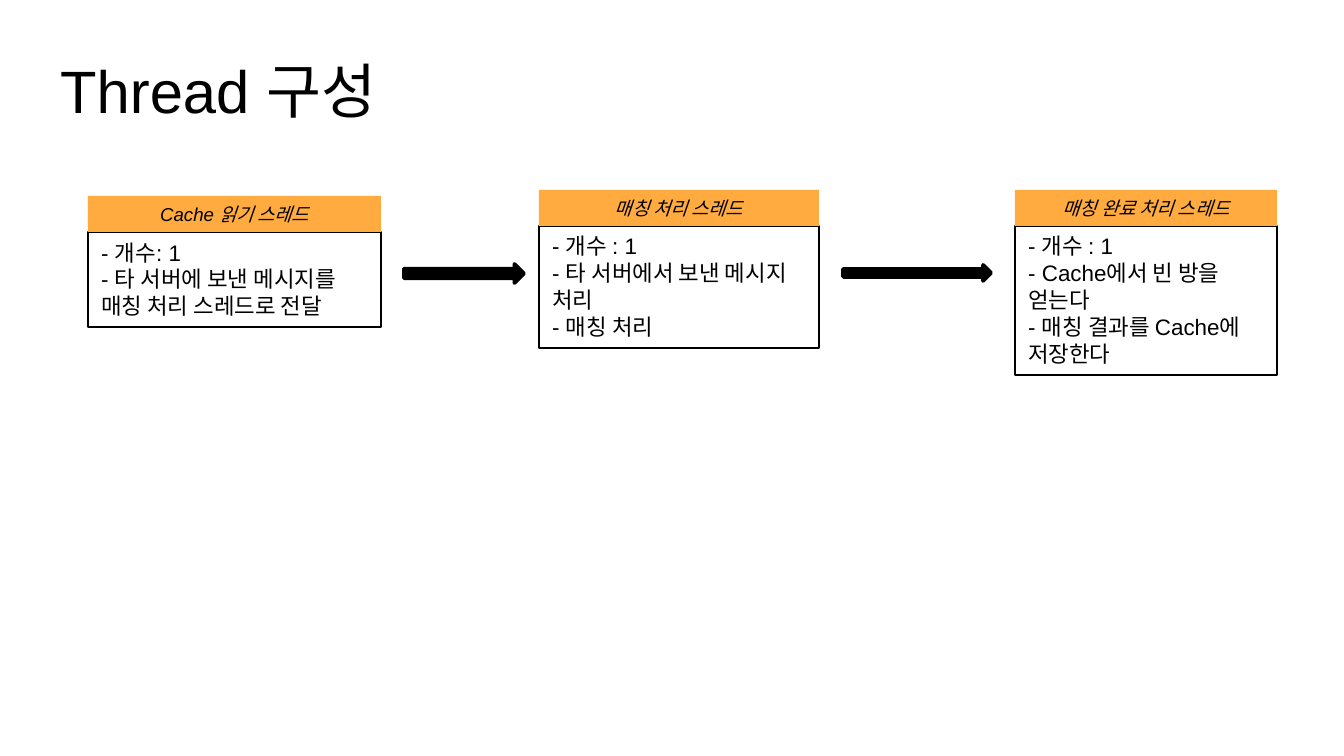
from dataclasses import dataclass

from lxml import etree
from pptx import Presentation
from pptx.dml.color import RGBColor
from pptx.enum.shapes import MSO_SHAPE
from pptx.enum.text import MSO_ANCHOR, MSO_AUTO_SIZE, PP_ALIGN
from pptx.util import Emu, Pt

RECTANGLE, RIGHT_ARROW = MSO_SHAPE.RECTANGLE, MSO_SHAPE.RIGHT_ARROW
LEFT, CENTER = PP_ALIGN.LEFT, PP_ALIGN.CENTER
TOP = MSO_ANCHOR.TOP
FIT_TEXT = MSO_AUTO_SIZE.SHAPE_TO_FIT_TEXT
DRAWING_NS = "http://schemas.openxmlformats.org/drawingml/2006/main"


@dataclass(frozen=True)
class Theme:
    font: str = "Arial"
    ink: RGBColor = RGBColor(0x00, 0x00, 0x00)
    header: RGBColor = RGBColor(0xFF, 0xAB, 0x40)
    title_size: int = 32
    body_size: int = 12
    header_size: int = 10
    box_line: float = 0.75
    arrow_line: float = 2


THEME = Theme()
EMU_PER_PX = 914400 / 134.4
SLIDE_SIZE = (1344, 756)
HEADER_HEIGHT = 36

TITLE = "Thread 구성"
TITLE_BOX = (47, 47, 417, 86)

# Each thread: left, top, width, body height, header, body lines
THREADS = [
    (88, 196, 293, 95, "Cache 읽기 스레드",
     ["- 개수: 1", "- 타 서버에 보낸 메시지를 매칭 처리 스레드로 전달"]),
    (539, 190, 280, 122, "매칭 처리 스레드",
     ["- 개수 : 1", "- 타 서버에서 보낸 메시지 처리", "- 매칭 처리"]),
    (1015, 190, 262, 149, "매칭 완료 처리 스레드",
     ["- 개수 : 1", "- Cache에서 빈 방을 얻는다", "- 매칭 결과를 Cache에 저장한다"]),
]
ARROWS = [(843, 265, 148, 16), (404, 264, 120, 19)]


def px(value):
    return Emu(round(value * EMU_PER_PX))


def write(shape, lines, size, align=LEFT, italic=False):
    frame = shape.text_frame
    frame.word_wrap = True
    frame.auto_size = FIT_TEXT
    frame.vertical_anchor = TOP
    for index, line in enumerate(lines):
        paragraph = frame.add_paragraph() if index else frame.paragraphs[0]
        paragraph.alignment = align
        run = paragraph.add_run()
        run.text = line
        run.font.name = THEME.font
        run.font.size = Pt(size)
        run.font.italic = italic
        run.font.color.rgb = THEME.ink


def add_shape(shapes, kind, box, fill=None, line_width=None):
    shape = shapes.add_shape(kind, *map(px, box))
    shape.shadow.inherit = False
    if fill is None:
        shape.fill.background()
    else:
        shape.fill.solid()
        shape.fill.fore_color.rgb = fill
    if line_width is None:
        shape.line.fill.background()
    else:
        shape.line.color.rgb = THEME.ink
        shape.line.width = Pt(line_width)
    return shape


def add_thread(slide, left, top, width, body_height, header, lines):
    group = slide.shapes.add_group_shape()
    body_box = (left, top + HEADER_HEIGHT, width, body_height)
    body = add_shape(group.shapes, RECTANGLE, body_box, line_width=THEME.box_line)
    write(body, lines, THEME.body_size)
    header_box = (left, top, width, HEADER_HEIGHT)
    heading = add_shape(group.shapes, RECTANGLE, header_box, fill=THEME.header)
    write(heading, [header], THEME.header_size, CENTER, italic=True)


def add_arrow(slide, box):
    arrow = add_shape(slide.shapes, RIGHT_ARROW, box, THEME.ink, THEME.arrow_line)
    outline = arrow.line._get_or_add_ln()
    etree.SubElement(outline, f"{{{DRAWING_NS}}}round")


def main():
    presentation = Presentation()
    presentation.slide_width, presentation.slide_height = map(px, SLIDE_SIZE)
    slide = presentation.slides.add_slide(presentation.slide_layouts[6])
    title = slide.shapes.add_textbox(*map(px, TITLE_BOX))
    write(title, [TITLE], THEME.title_size)
    for thread in THREADS:
        add_thread(slide, *thread)
    for box in ARROWS:
        add_arrow(slide, box)
    presentation.save("out.pptx")


if __name__ == "__main__":
    main()
